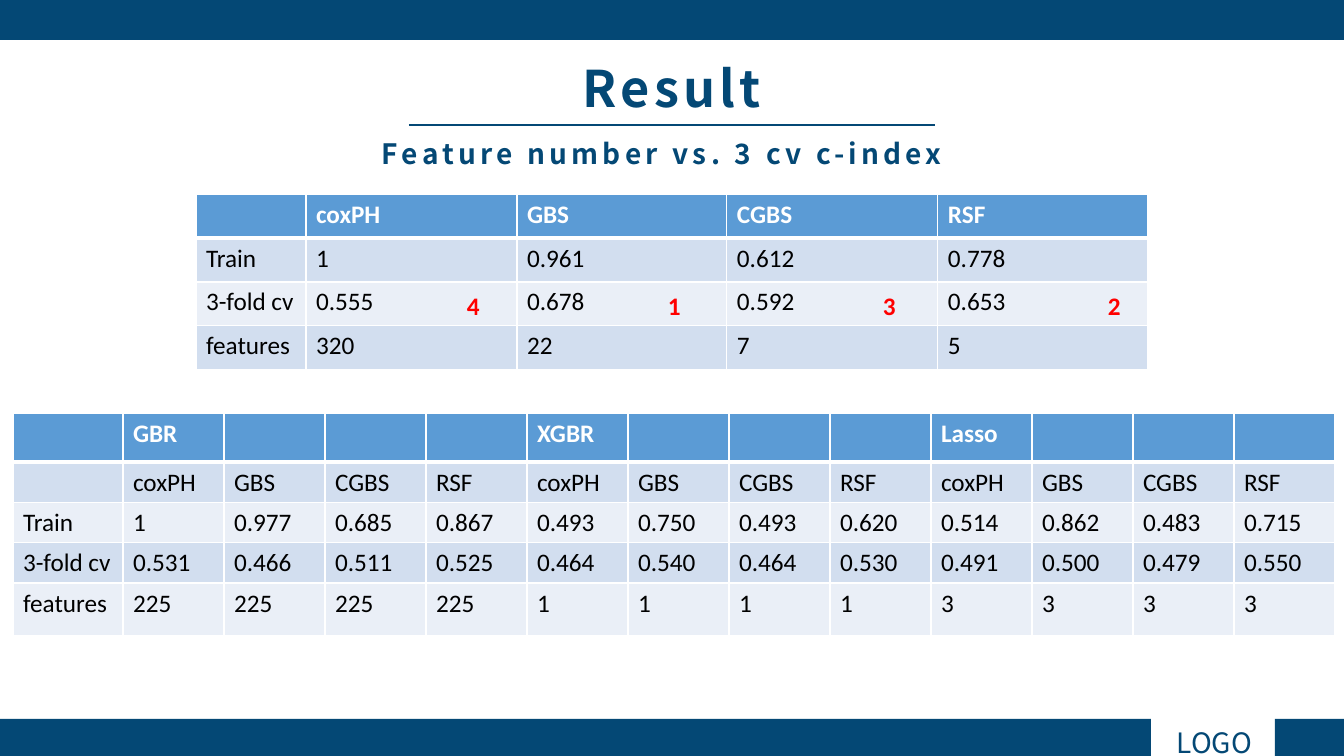
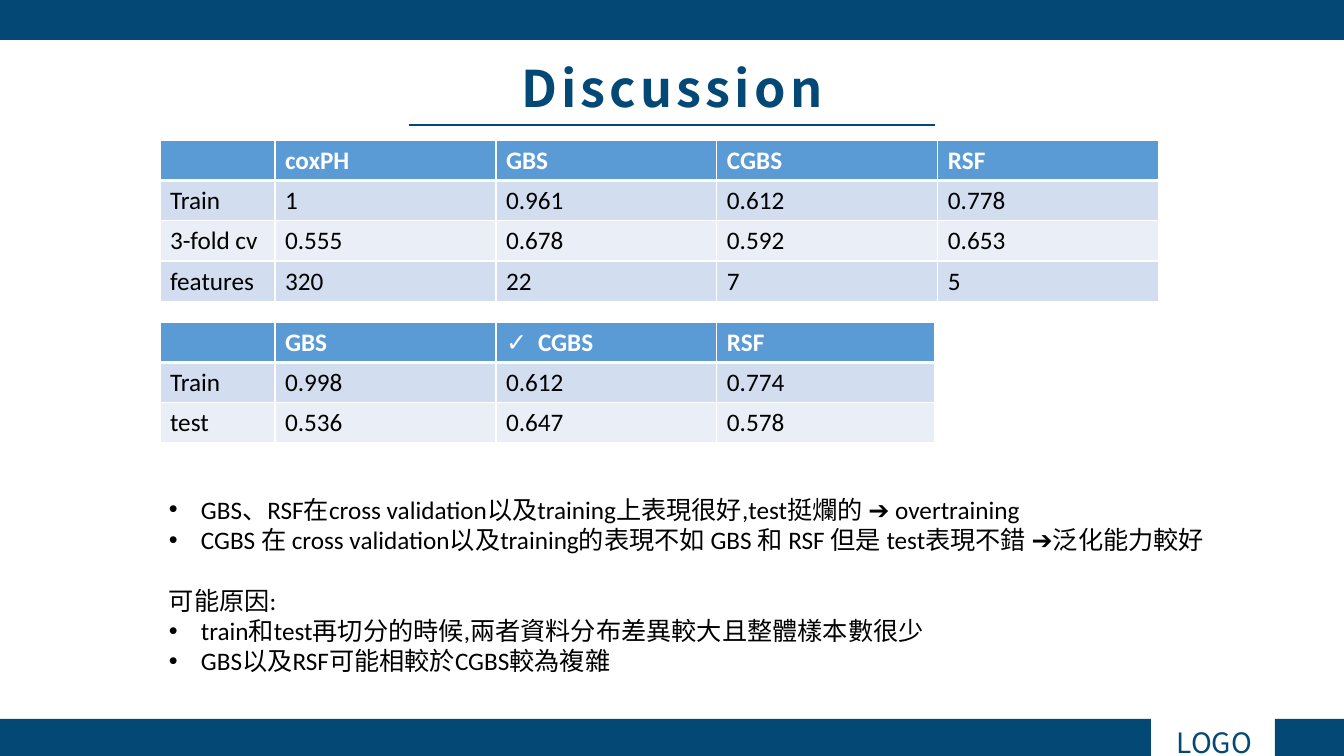
from lxml.etree import SubElement
from pptx import Presentation
from pptx.dml.color import RGBColor
from pptx.enum.shapes import MSO_CONNECTOR, MSO_SHAPE
from pptx.enum.text import MSO_AUTO_SIZE, PP_ALIGN
from pptx.oxml.ns import qn
from pptx.util import Emu, Pt

NAVY = RGBColor(0x04, 0x48, 0x75)
HEADER_BLUE = RGBColor(0x5B, 0x9B, 0xD5)
BAND_DARK = RGBColor(0xD2, 0xDE, 0xEF)
BAND_LIGHT = RGBColor(0xEA, 0xEF, 0xF7)
WHITE = RGBColor(0xFF, 0xFF, 0xFF)
BLACK = RGBColor(0x00, 0x00, 0x00)
RED = RGBColor(0xFF, 0x00, 0x00)

TITLE_FONT = "Noto Sans CJK SC"
BODY_FONT = "Calibri"
BODY_SIZE = 18
WIDTH, HEIGHT = 1344, 756
EMU_PER_PX = 12192000 / WIDTH
BULLET_INDENT = 32

MODELS = ["coxPH", "GBS", "CGBS", "RSF"]
MODEL_SCORES = [
    ["", *MODELS],
    ["Train", "1", "0.961", "0.612", "0.778"],
    ["3-fold cv", "0.555", "0.678", "0.592", "0.653"],
    ["features", "320", "22", "7", "5"],
]
SELECTION_SCORES = [
    ["", "GBR", "", "", "", "XGBR", "", "", "", "Lasso", "", "", ""],
    ["", *MODELS * 3],
    ["Train", "1", "0.977", "0.685", "0.867", "0.493", "0.750", "0.493", "0.620",
     "0.514", "0.862", "0.483", "0.715"],
    ["3-fold cv", "0.531", "0.466", "0.511", "0.525", "0.464", "0.540", "0.464",
     "0.530", "0.491", "0.500", "0.479", "0.550"],
    ["features", *["225"] * 4, *["1"] * 4, *["3"] * 4],
]
TEST_SCORES = [
    ["", "GBS", "CGBS", "RSF"],
    ["Train", "0.998", "0.612", "0.774"],
    ["test", "0.536", "0.647", "0.578"],
]
FINDINGS = [
    "GBS、RSF在cross validation以及training上表現很好,test挺爛的 ➔ overtraining",
    "CGBS 在 cross validation以及training的表現不如 GBS 和 RSF 但是 test表現不錯 ➔泛化能力較好",
]
CAUSES_HEADING = "可能原因:"
CAUSES = [
    "train和test再切分的時候,兩者資料分布差異較大且整體樣本數很少",
    "GBS以及RSF可能相較於CGBS較為複雜",
]


def px(length):
    return Emu(round(length * EMU_PER_PX))


def format_runs(paragraph, size, font, color, bold=False, spacing=0):
    """Style every run; spacing is letter spacing in points."""
    for run in paragraph.runs:
        run.font.size = Pt(size)
        run.font.name = font
        run.font.bold = bold
        run.font.color.rgb = color
        if spacing:
            run._r.get_or_add_rPr().set("spc", str(spacing * 100))


def add_bullet(paragraph, character):
    properties = paragraph._p.get_or_add_pPr()
    properties.set("marL", str(px(BULLET_INDENT)))
    properties.set("indent", str(-px(BULLET_INDENT)))
    SubElement(properties, qn("a:buFont")).set("typeface", "Arial")
    SubElement(properties, qn("a:buChar")).set("char", character)


def add_borders(cell, top, bottom):
    """Draw white borders; top and bottom are widths in points."""
    properties = cell._tc.get_or_add_tcPr()
    for side, width in (("L", 1), ("R", 1), ("T", top), ("B", bottom)):
        line = SubElement(properties, qn(f"a:ln{side}"), w=str(Pt(width)))
        fill = SubElement(line, qn("a:solidFill"))
        SubElement(fill, qn("a:srgbClr")).set("val", str(WHITE))


class Deck:
    def __init__(self):
        self.presentation = Presentation()
        self.presentation.slide_width = px(WIDTH)
        self.presentation.slide_height = px(HEIGHT)
        self.slide = None

    def new_slide(self, title):
        layout = self.presentation.slide_layouts[6]
        self.slide = self.presentation.slides.add_slide(layout)
        self.band(0, 0, WIDTH, 40)
        self.band(0, 719, 1151, 37)
        self.band(1275, 719, 69, 37)
        self.text(1132, 721, 165, 44, "LOGO", 20, TITLE_FONT, NAVY, align=PP_ALIGN.CENTER)
        self.rule(409, 935, 125)
        self.text(218, 52, 908, 72, title, 36, TITLE_FONT, NAVY, bold=True,
                  spacing=3, align=PP_ALIGN.CENTER)

    def band(self, left, top, width, height):
        shape = self.slide.shapes.add_shape(
            MSO_SHAPE.RECTANGLE, px(left), px(top), px(width), px(height))
        shape.shadow.inherit = False
        shape.fill.solid()
        shape.fill.fore_color.rgb = NAVY
        shape.line.fill.background()

    def rule(self, left, right, y):
        connector = self.slide.shapes.add_connector(
            MSO_CONNECTOR.STRAIGHT, px(left), px(y), px(right), px(y))
        connector.line.color.rgb = NAVY
        connector.line.width = Pt(2)
        SubElement(connector._element.spPr, qn("a:effectLst"))

    def text_frame(self, left, top, width, height):
        box = self.slide.shapes.add_textbox(px(left), px(top), px(width), px(height))
        box.text_frame.word_wrap = True
        box.text_frame.auto_size = MSO_AUTO_SIZE.SHAPE_TO_FIT_TEXT
        return box.text_frame

    def text(self, left, top, width, height, text, size, font, color,
             bold=False, spacing=0, align=PP_ALIGN.LEFT):
        text_frame = self.text_frame(left, top, width, height)
        text_frame.text = text
        paragraph = text_frame.paragraphs[0]
        paragraph.alignment = align
        format_runs(paragraph, size, font, color, bold, spacing)

    def bullet_text(self, left, top, width, height, findings, heading, causes):
        text_frame = self.text_frame(left, top, width, height)
        text_frame.text = "\n".join([*findings, heading, *causes])
        for paragraph in text_frame.paragraphs:
            format_runs(paragraph, BODY_SIZE, BODY_FONT, BLACK)
            if paragraph.text == heading:
                paragraph.space_before = Pt(22)
            else:
                add_bullet(paragraph, "•")

    def table(self, left, top, column_widths, row_heights, rows):
        frame = self.slide.shapes.add_table(
            len(rows), len(column_widths), px(left), px(top),
            px(sum(column_widths)), px(sum(row_heights)))
        table = frame.table
        for column, width in zip(table.columns, column_widths):
            column.width = px(width)
        for row, height in zip(table.rows, row_heights):
            row.height = px(height)
        for row_index, values in enumerate(rows):
            is_header = row_index == 0
            band_fill = BAND_DARK if row_index % 2 else BAND_LIGHT
            for column_index, value in enumerate(values):
                cell = table.cell(row_index, column_index)
                add_borders(cell, 3 if row_index == 1 else 1, 3 if is_header else 1)
                cell.fill.solid()
                cell.fill.fore_color.rgb = HEADER_BLUE if is_header else band_fill
                if value:
                    cell.text_frame.text = value
                    format_runs(cell.text_frame.paragraphs[0], BODY_SIZE, BODY_FONT,
                                WHITE if is_header else BLACK, is_header)
        return table


def build_result(deck):
    deck.new_slide("Result")
    deck.text(372, 132, 601, 44, "Feature number vs. 3 cv c-index", 20, TITLE_FONT,
              NAVY, bold=True, spacing=3)
    deck.table(196, 194, [110] + [211, 210] * 2, [44] * 4, MODEL_SCORES)
    deck.table(13, 413, [110] + [101] * 12, [49, 40, 40, 40, 53], SELECTION_SCORES)
    for rank, left in (("4", 457), ("1", 658), ("3", 873), ("2", 1098)):
        deck.text(left, 285, 36, 41, rank, BODY_SIZE, BODY_FONT, RED, bold=True)


def build_discussion(deck):
    deck.new_slide("Discussion")
    deck.table(160, 140, [115] + [221] * 4, [40] * 4, MODEL_SCORES)
    test_table = deck.table(160, 322, [115, 221, 221, 218], [40] * 3, TEST_SCORES)
    chosen_model = test_table.cell(0, TEST_SCORES[0].index("CGBS"))
    add_bullet(chosen_model.text_frame.paragraphs[0], "✓")
    deck.bullet_text(159, 489, 1079, 222, FINDINGS, CAUSES_HEADING, CAUSES)


def main():
    deck = Deck()
    build_result(deck)
    build_discussion(deck)
    deck.presentation.save("out.pptx")


if __name__ == "__main__":
    main()
